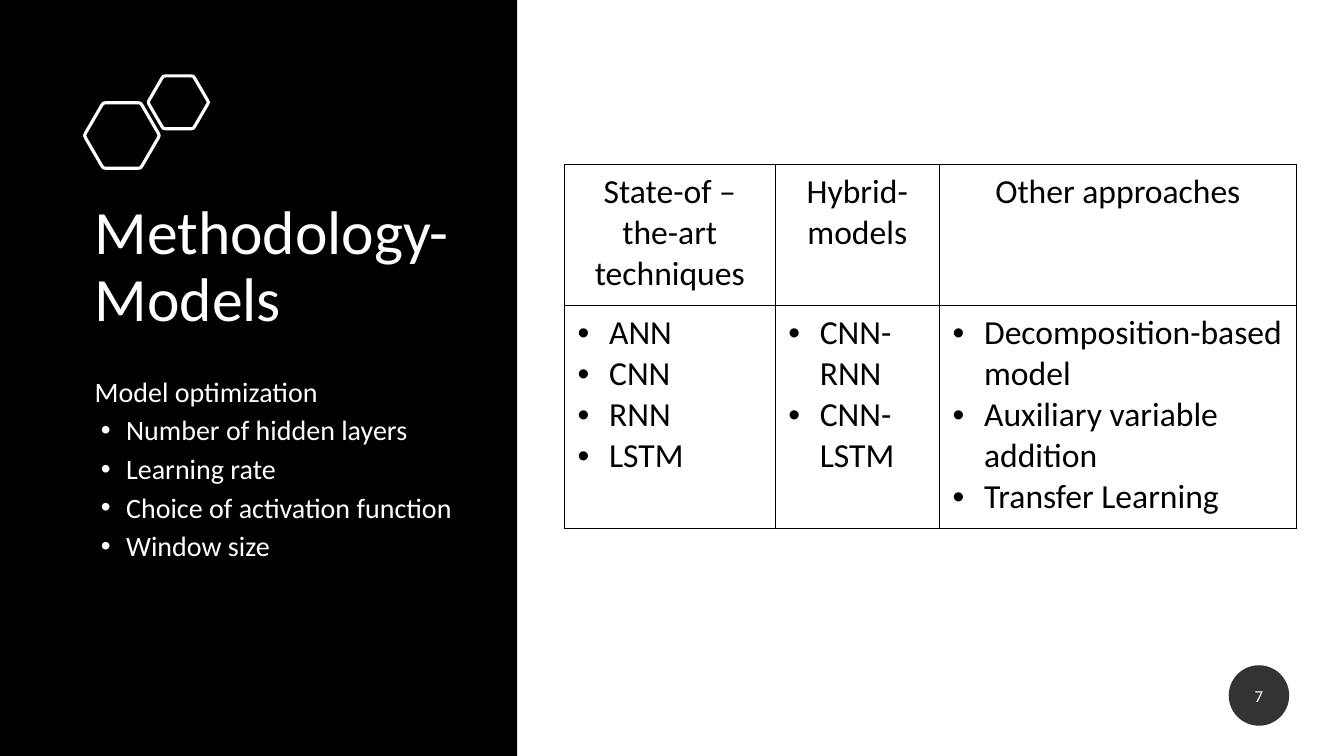
"""Build the slide on methodology models, with a dark side panel and a table."""
from lxml.etree import SubElement as Sub
from pptx import Presentation
from pptx.dml.color import RGBColor
from pptx.enum.shapes import MSO_SHAPE as Kind
from pptx.enum.text import MSO_ANCHOR as Anchor, PP_ALIGN as Align
from pptx.oxml.ns import qn
from pptx.util import Pt

BLACK = RGBColor(0x00, 0x00, 0x00)
WHITE = RGBColor(0xFF, 0xFF, 0xFF)


def write(frame, lines, size, tint, indent=None, **form):
    """Fill a frame with paragraphs; an indent of (left, hang) adds bullets to lines marked •."""
    frame.word_wrap = True
    for i, line in enumerate(lines):
        para = frame.paragraphs[0] if i == 0 else frame.add_paragraph()
        for key, val in form.items():
            setattr(para, key, val)
        run = para.add_run()
        run.text = line.removeprefix("•")
        for key, val in {"name": "Calibri", "size": Pt(size)}.items():
            setattr(run.font, key, val)
        run.font.color.rgb = tint
        if line.startswith("•"):
            props = para._p.get_or_add_pPr()
            props.set("marL", str(Pt(indent[0])))
            props.set("indent", str(Pt(-indent[1])))
            Sub(props, qn("a:buFont"), typeface="Arial")
            Sub(props, qn("a:buChar"), char="•")


def plain(shape, fill=None):
    """Strip the shadow and the line, and set the fill."""
    shape.shadow.inherit = False
    shape.line.fill.background()
    if fill is None:
        shape.fill.background()
    else:
        shape.fill.solid()
        shape.fill.fore_color.rgb = fill


deck = Presentation()
deck.slide_width, deck.slide_height = Pt(960), Pt(540)
slide = deck.slides.add_slide(deck.slide_layouts[6])
shapes = slide.shapes

panel = shapes.add_shape(Kind.RECTANGLE, 0, 0, Pt(369.4), Pt(540))
plain(panel, BLACK)

title = shapes.add_textbox(Pt(60.5), Pt(140.4), Pt(282.2), Pt(115.2))
write(title.text_frame, ["Methodology-Models"], 44, WHITE, line_spacing=0.9)

bend = [(16, -32.5), (18.5, -32), (20, -30), (36, -2.5), (37, 0)]
half = bend + [(x, -y) for x, y in bend[-2::-1]]
ring = half + [(-x, -y) for x, y in half]
for left, top, zoom in [(87.1, 96.8, 0.72), (127.4, 73.1, 0.58)]:
    dots = [(Pt(left + x * zoom), Pt(top + y * zoom)) for x, y in ring]
    pen = shapes.build_freeform(*dots[0])
    pen.add_line_segments(dots[1:])
    hexa = pen.convert_to_shape()
    plain(hexa)
    hexa.line.color.rgb = WHITE
    hexa.line.width = Pt(2.25)

notes = ["Model optimization", "•Number of hidden layers", "•Learning rate",
         "•Choice of activation function", "•Window size"]
body = shapes.add_textbox(Pt(60.5), Pt(266.4), Pt(282.2), Pt(219.6))
write(body.text_frame, notes, 20, WHITE, (22.5, 18),
      line_spacing=0.9, space_after=Pt(6))

badge = shapes.add_shape(Kind.OVAL, Pt(877.7), Pt(475.2), Pt(43.2), Pt(43.2))
plain(badge, BLACK)
Sub(badge.fill._xPr.find(".//" + qn("a:srgbClr")), qn("a:alpha"), val="80000")
badge.text_frame.vertical_anchor = Anchor.MIDDLE
write(badge.text_frame, ["7"], 12, WHITE, alignment=Align.CENTER, space_after=Pt(6))

heads = [["State-of –the-art", "techniques"], ["Hybrid-models"], ["Other approaches"]]
lists = [["•ANN", "•CNN", "•RNN", "•LSTM"],
         ["•CNN-RNN", "•CNN-LSTM"],
         ["•Decomposition-based model", "•Auxiliary variable addition",
          "•Transfer Learning"]]
wides = [150.5, 117.4, 254.9]
highs = [100.8, 159.1]
pads = {"margin_left": Pt(9.4), "margin_right": Pt(9.4),
        "margin_top": Pt(5), "margin_bottom": Pt(5)}

grid = shapes.add_table(2, 3, Pt(403.2), Pt(117.4), Pt(sum(wides)), Pt(sum(highs))).table
grid.first_row = grid.horz_banding = False
for col, wide in zip(grid.columns, wides):
    col.width = Pt(wide)
for row, high, texts, align in zip(grid.rows, highs, [heads, lists],
                                   [Align.CENTER, Align.LEFT]):
    row.height = Pt(high)
    for cell, lines in zip(row.cells, texts):
        for key, val in pads.items():
            setattr(cell, key, val)
        write(cell.text_frame, lines, 24, BLACK, (22.5, 22.5), alignment=align)
        props = cell._tc.get_or_add_tcPr()
        for side in ["lnL", "lnR", "lnT", "lnB"]:
            edge = Sub(props, qn("a:" + side), w=str(Pt(1)))
            Sub(Sub(edge, qn("a:solidFill")), qn("a:srgbClr"), val=str(BLACK))
        cell.fill.background()

deck.save("out.pptx")
